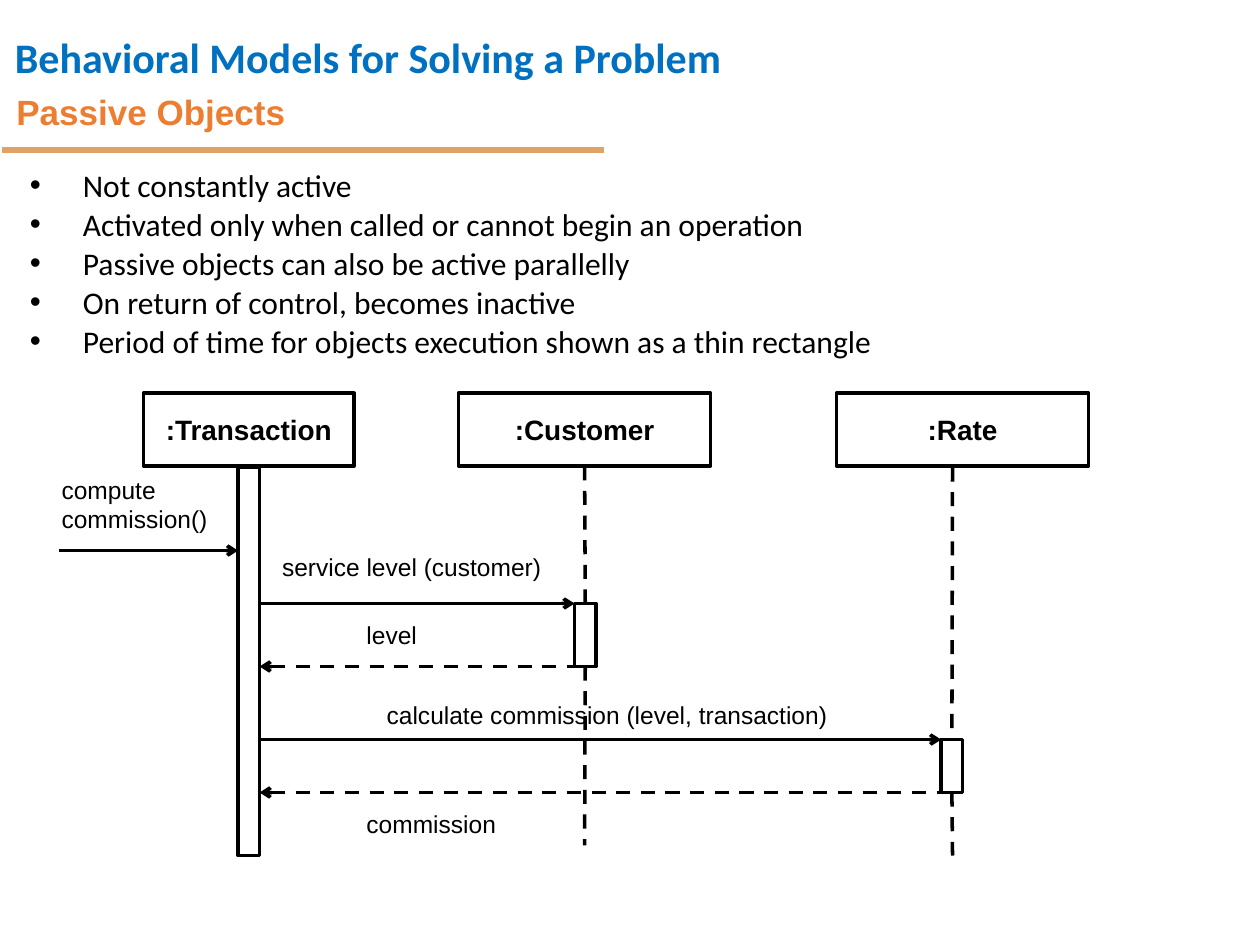
from lxml.etree import SubElement
from pptx import Presentation
from pptx.dml.color import RGBColor
from pptx.enum.dml import MSO_LINE
from pptx.enum.shapes import MSO_CONNECTOR, MSO_SHAPE
from pptx.enum.text import MSO_ANCHOR, MSO_AUTO_SIZE, PP_ALIGN
from pptx.oxml.ns import qn
from pptx.util import Inches, Pt

BLACK = RGBColor(0, 0, 0)
BLUE = RGBColor(0x00, 0x70, 0xC0)
ORANGE = RGBColor(0xED, 0x7D, 0x31)
TAN = RGBColor(0xDF, 0xA2, 0x67)

POINTS = [
    "Not constantly active",
    "Activated only when called or cannot begin an operation",
    "Passive objects can also be active parallelly",
    "On return of control, becomes inactive",
    "Period of time for objects execution shown as a thin rectangle",
]


def write(frame, text, size=14, font="Arial", color=BLACK, bold=False, align=PP_ALIGN.LEFT,
          anchor=MSO_ANCHOR.MIDDLE, lead=None, gap=0, bullet=False):
    frame.word_wrap = True
    frame.auto_size = MSO_AUTO_SIZE.NONE
    frame.vertical_anchor = anchor
    frame.text = text
    for i, para in enumerate(frame.paragraphs):
        if bullet:
            props = para._p.get_or_add_pPr()
            props.set("marL", str(Inches(0.56)))
            props.set("indent", str(Inches(-0.42)))
            SubElement(props, qn("a:buFont"), typeface="Arial")
            SubElement(props, qn("a:buChar"), char="•")
        para.alignment = align
        para.line_spacing = lead
        para.space_before = Pt(gap if i else 0)
        for run in para.runs:
            run.font.size = Pt(size)
            run.font.name = font
            run.font.bold = bold
            run.font.color.rgb = color


class Sketch:
    """Draws styled text, boxes and lines on one slide."""

    def __init__(self, slide, color=BLACK, width=2):
        self.slide = slide
        self.color = color
        self.width = width

    def title(self, text, x, y, w, h, **style):
        shape = self.slide.shapes.title
        shape.left, shape.top, shape.width, shape.height = map(Inches, (x, y, w, h))
        write(shape.text_frame, text, **style)

    def label(self, text, x, y, w, h, **style):
        box = self.slide.shapes.add_textbox(*map(Inches, (x, y, w, h)))
        write(box.text_frame, text, **style)

    def box(self, x, y, w, h, text=""):
        shape = self.slide.shapes.add_shape(MSO_SHAPE.RECTANGLE, *map(Inches, (x, y, w, h)))
        shape.shadow.inherit = False
        shape.fill.background()
        shape.line.color.rgb = self.color
        shape.line.width = Pt(self.width)
        if text:
            write(shape.text_frame, text, size=16, bold=True, align=PP_ALIGN.CENTER)
        return shape

    def line(self, x1, y1, x2, y2, color=None, width=None, dash=False, head=None,
             start=None, end=None):
        line = self.slide.shapes.add_connector(
            MSO_CONNECTOR.STRAIGHT, *map(Inches, (x1, y1, x2, y2)))
        line.line.color.rgb = color or self.color
        line.line.width = Pt(width or self.width)
        if dash:
            line.line.dash_style = MSO_LINE.DASH
        if head:
            SubElement(line.line._get_or_add_ln(), qn(head), type="arrow")
        SubElement(line._element.spPr, qn("a:effectLst"))
        if start:
            line.begin_connect(start, 2)
        if end:
            line.end_connect(end, 0)

    def call(self, x1, x2, y):
        self.line(x1, y, x2, y, head="a:tailEnd")

    def reply(self, x1, x2, y):
        self.line(x1, y, x2, y, dash=True, head="a:headEnd")


def main():
    deck = Presentation()
    deck.slide_width, deck.slide_height = Inches(10), Inches(7.5)
    art = Sketch(deck.slides.add_slide(deck.slide_layouts[5]))

    art.label("Behavioral Models for Solving a Problem", 0.02, 0, 7.4, 0.71, size=24,
              font="Calibri", color=BLUE, bold=True, anchor=MSO_ANCHOR.TOP, lead=1.5)
    art.line(0.02, 1.19, 4.79, 1.19, color=TAN, width=3)
    art.title("Passive Objects", 0.03, 0.56, 8.62, 0.69, size=20, color=ORANGE,
              bold=True, lead=0.9)
    art.label("\n".join(POINTS), 0, 1.33, 9, 1.8, size=18, font="Calibri",
              anchor=MSO_ANCHOR.TOP, lead=0.8, gap=5, bullet=True)

    top, base, thin = 3.12, 3.71, 0.17
    main_x, client_x, rate_x = 1.89, 4.56, 7.47
    edge = main_x + thin
    art.box(1.14, top, 1.67, 0.58, ":Transaction")
    client = art.box(3.64, top, 2, 0.58, ":Customer")
    art.box(6.64, top, 2, 0.58, ":Rate")
    art.box(main_x, base, thin, 3.08)
    level = art.box(client_x, 4.79, thin, 0.5)
    rate = art.box(rate_x, 5.87, thin, 0.42)

    art.line(4.64, base, 4.64, 4.79, dash=True, start=client, end=level)
    art.line(4.64, 5.29, 4.64, 6.71, dash=True, start=level)
    art.line(7.56, base, 7.56, 5.87, dash=True, end=rate)
    art.line(7.56, 6.29, 7.56, 6.79, dash=True, start=rate)

    art.call(0.47, main_x, 4.37)
    art.call(edge, client_x, 4.79)
    art.reply(edge, client_x, 5.29)
    art.call(edge, rate_x, 5.87)
    art.reply(edge, rate_x, 6.29)

    for text, x, y, w, h in (
        ("compute\ncommission()", 0.39, 3.71, 1.75, 0.58),
        ("service level (customer)", 2.14, 4.29, 2.42, 0.42),
        ("level", 2.81, 4.87, 0.92, 0.33),
        ("calculate commission (level, transaction)", 2.97, 5.46, 4.08, 0.42),
        ("commission", 2.81, 6.37, 1.58, 0.33),
    ):
        art.label(text, x, y, w, h)

    deck.save("out.pptx")


if __name__ == "__main__":
    main()
